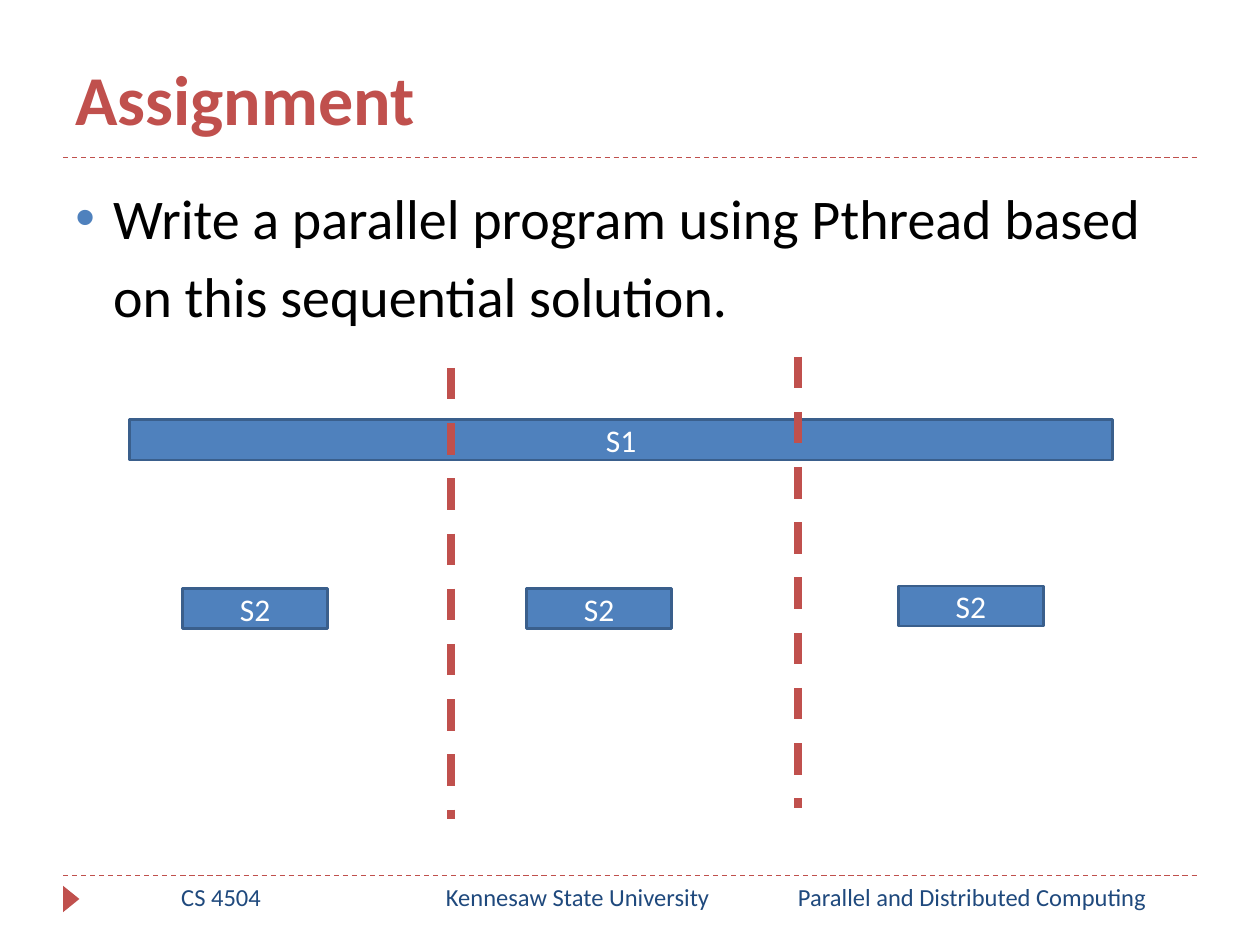
import pptx
import pptx.dml.color
import pptx.enum.dml
import pptx.enum.shapes
import pptx.enum.text
import pptx.oxml
import pptx.oxml.ns
import pptx.util

PIXEL = 9144
FONT = "Calibri"
COLORS = {
    "accent": "C0504D",
    "bar": "4F81BD",
    "bar_edge": "3A5F8C",
    "footer": "1F497D",
    "body": "000000",
    "bar_text": "FFFFFF",
}
ALIGN = pptx.enum.text.PP_ALIGN
ANCHOR = pptx.enum.text.MSO_ANCHOR
SHAPES = pptx.enum.shapes.MSO_SHAPE


def px(*lengths):
    return [pptx.util.Emu(length * PIXEL) for length in lengths]


def color(name):
    return pptx.dml.color.RGBColor.from_string(COLORS[name])


def write_text(shape, text, size, color_name, bold=False, align=ALIGN.LEFT,
               anchor=ANCHOR.TOP, bullet=None, indent=0, line_spacing=None):
    frame = shape.text_frame
    frame.word_wrap = True
    frame.vertical_anchor = anchor
    paragraph = frame.paragraphs[0]
    paragraph.text = text
    paragraph.alignment = align
    if line_spacing:
        paragraph.line_spacing = line_spacing
    if bullet:
        add_bullet(paragraph, bullet, indent)
    font = paragraph.runs[0].font
    font.name = FONT
    font.size = pptx.util.Pt(size)
    font.bold = bold
    font.color.rgb = color(color_name)


def add_bullet(paragraph, bullet, indent):
    properties = paragraph._p.get_or_add_pPr()
    margin = px(indent)[0]
    properties.set("marL", str(margin))
    properties.set("indent", str(-margin))
    namespace = pptx.oxml.ns.nsdecls("a")
    for xml in (
        f'<a:buClr {namespace}><a:srgbClr val="{COLORS["bar"]}"/></a:buClr>',
        f'<a:buFont {namespace} typeface="Arial"/>',
        f'<a:buChar {namespace} char="{bullet}"/>',
    ):
        properties.append(pptx.oxml.parse_xml(xml))


def add_dashed_line(slide, start_x, start_y, end_x, end_y, weight):
    line = slide.shapes.add_connector(
        pptx.enum.shapes.MSO_CONNECTOR.STRAIGHT, *px(start_x, start_y, end_x, end_y))
    line.line.color.rgb = color("accent")
    line.line.width = pptx.util.Pt(weight)
    line.line.dash_style = pptx.enum.dml.MSO_LINE.DASH
    effects = pptx.oxml.parse_xml(f'<a:effectLst {pptx.oxml.ns.nsdecls("a")}/>')
    line._element.spPr.append(effects)


def add_bar(slide, text, left, top, width, height):
    bar = slide.shapes.add_shape(SHAPES.RECTANGLE, *px(left, top, width, height))
    bar.shadow.inherit = False
    bar.fill.solid()
    bar.fill.fore_color.rgb = color("bar")
    bar.line.color.rgb = color("bar_edge")
    bar.line.width = pptx.util.Pt(1.5)
    write_text(bar, text, 18, "bar_text", align=ALIGN.CENTER, anchor=ANCHOR.MIDDLE)


def build_header(slide, left, top, width, height):
    add_dashed_line(slide, left, top + height + 9, left + width, top + height + 9, 0.75)
    title = slide.shapes.title
    title.left, title.top, title.width, title.height = px(left, top, width, height)
    write_text(title, "Assignment", 40, "accent", bold=True, anchor=ANCHOR.BOTTOM)


def build_body(slide, left, top, width, height):
    box = slide.shapes.add_textbox(*px(left, top, width, height))
    write_text(box, "Write a parallel program using Pthread based on this sequential solution.",
               32, "body", bullet="•", indent=30, line_spacing=1.15)


def build_diagram(slide, left, top, width, height):
    bar_height = 32
    add_bar(slide, "S1", left, top + 50, width, bar_height)
    for offset_x, offset_y in ((42, 184), (315, 184), (610, 182)):
        add_bar(slide, "S2", left + offset_x, top + offset_y, 115, bar_height)
    for offset_x, offset_y in ((255, 9), (530, 0)):
        x, y = left + offset_x, top + offset_y
        add_dashed_line(slide, x, y, x, y + height, 4.5)


def build_footer(slide, left, top, width, height):
    add_dashed_line(slide, left, top, left + width, top, 0.75)
    marker = slide.shapes.add_shape(
        SHAPES.ISOSCELES_TRIANGLE, *px(left - 4, top + 12, 21, 13))
    marker.rotation = 90
    marker.shadow.inherit = False
    marker.fill.solid()
    marker.fill.fore_color.rgb = color("accent")
    marker.line.fill.background()
    for text, offset, label_width in (
        ("CS 4504", 17, 217),
        ("Kennesaw State University", 217, 383),
        ("Parallel and Distributed Computing", 542, 359),
    ):
        label = slide.shapes.add_textbox(*px(left + offset, top, label_width, height))
        write_text(label, text, 14, "footer", align=ALIGN.CENTER)


def main():
    presentation = pptx.Presentation()
    presentation.slide_width, presentation.slide_height = px(1000, 750)
    slide = presentation.slides.add_slide(presentation.slide_layouts[5])
    build_header(slide, 50, 8, 900, 108)
    build_body(slide, 50, 133, 900, 138)
    build_diagram(slide, 103, 283, 780, 358)
    build_footer(slide, 50, 695, 900, 40)
    presentation.save("out.pptx")


if __name__ == "__main__":
    main()
